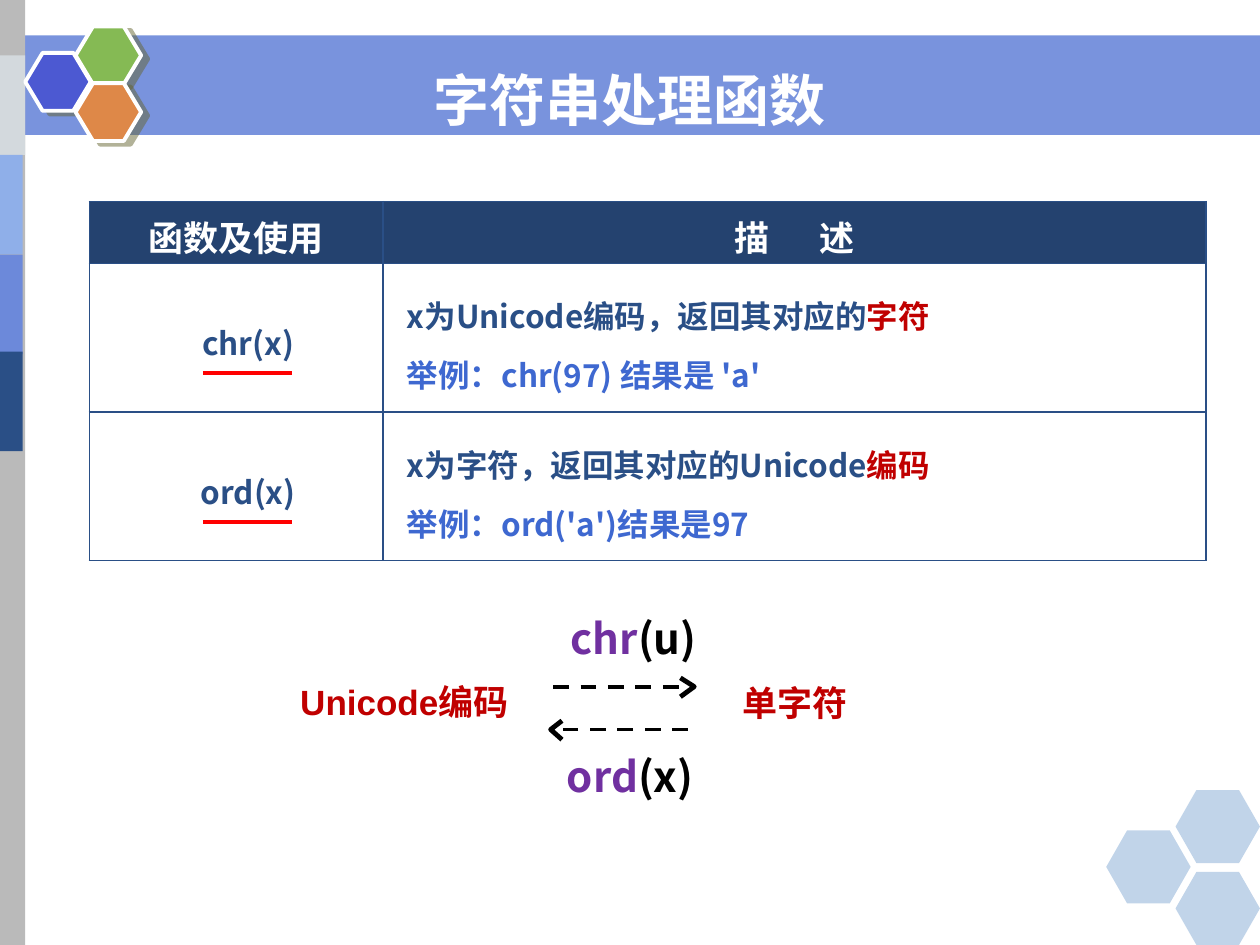
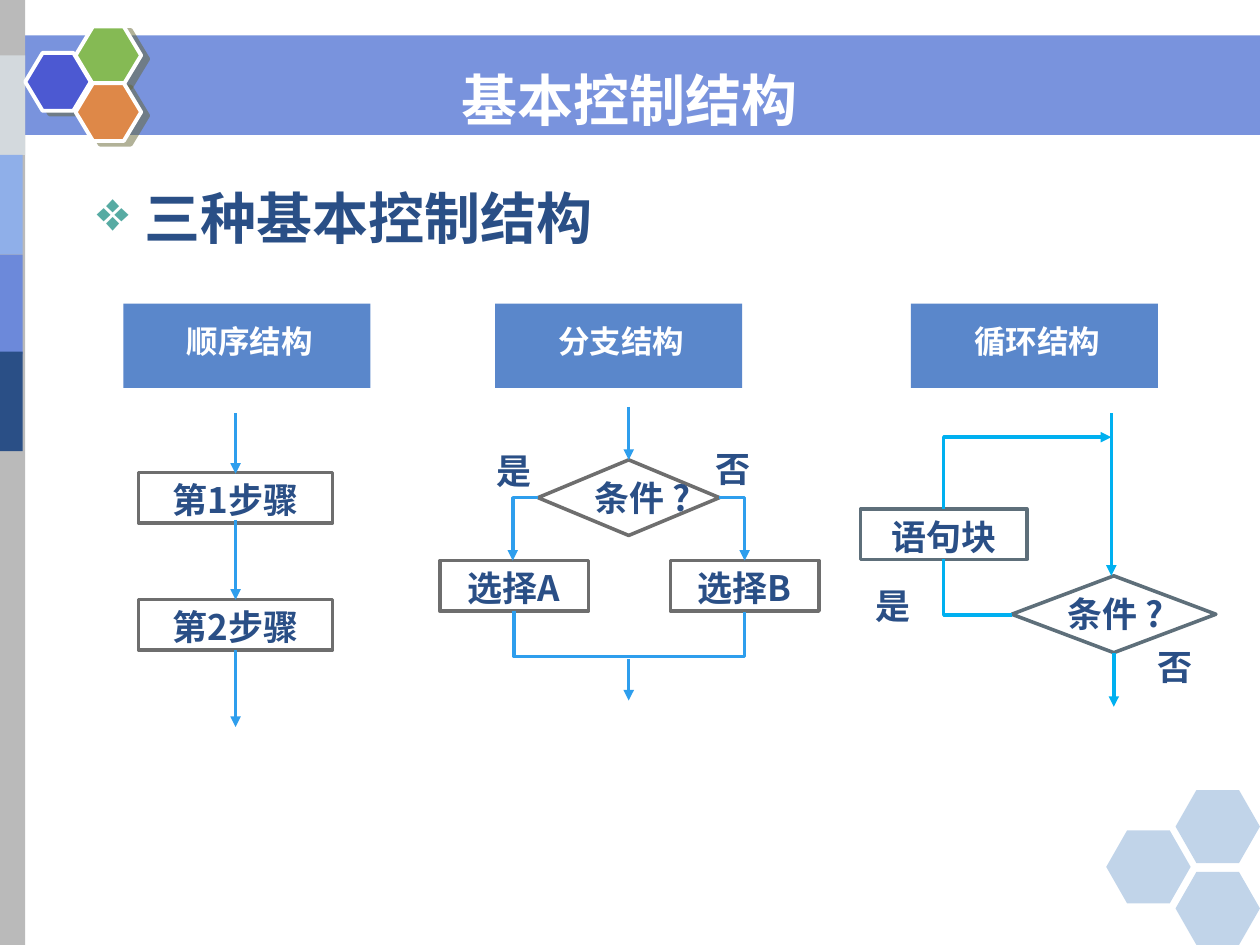
from lxml import etree
from pptx import Presentation
from pptx.dml.color import RGBColor
from pptx.enum.dml import MSO_LINE
from pptx.enum.shapes import MSO_CONNECTOR, MSO_SHAPE
from pptx.enum.text import MSO_ANCHOR, PP_ALIGN
from pptx.oxml.ns import qn
from pptx.util import Inches, Pt

RECTANGLE, HEXAGON, DIAMOND = MSO_SHAPE.RECTANGLE, MSO_SHAPE.HEXAGON, MSO_SHAPE.DIAMOND
STRAIGHT, DASH = MSO_CONNECTOR.STRAIGHT, MSO_LINE.DASH
LEFT, CENTER = PP_ALIGN.LEFT, PP_ALIGN.CENTER
TOP, MIDDLE = MSO_ANCHOR.TOP, MSO_ANCHOR.MIDDLE

SANS, TITLE_FONT, LABEL_FONT = "Noto Sans CJK SC", "DejaVu Sans", "Arial"
COLORS = {
    "white": "FFFFFF", "black": "000000", "navy": "2A4F86", "header": "24426F",
    "band": "6C89DA", "rail": "BABABA", "mist": "D3D9DD", "sky": "8FAFE9",
    "indigo": "4C59D2", "green": "85BA54", "orange": "DE8848", "shadow": "666633",
    "corner": "5086C2", "example": "3E68D0", "dark_red": "C00000", "red": "FF0000",
    "purple": "7030A0", "teal": "57ABA3", "heading": "5A87CB", "gray": "6E6E6E",
    "slate": "5E6F7A", "flow": "2E9EED", "loop": "00B0F0",
}
TIGHT = (0, 0.01, 0, 0)
BOX_INSETS = (0, 0.05, 0, 0)


def rgb(name):
    return RGBColor.from_string(COLORS[name])


def add_xml(parent, tag, **attributes):
    element = etree.SubElement(parent, qn(tag))
    for key, value in attributes.items():
        element.set(key, str(value))
    return element


def write_text(frame, paragraphs, size=20, color="navy", font=SANS, align=LEFT,
               before=0, indent=0, bullet=None):
    """Each paragraph is a string or a list of (text, color, letter spacing) runs."""
    for index, content in enumerate(paragraphs):
        paragraph = frame.add_paragraph() if index else frame.paragraphs[0]
        paragraph.alignment = align
        paragraph.space_before = Pt(before)
        properties = paragraph._p.get_or_add_pPr()
        properties.set("marL", str(Inches(indent)))
        properties.set("indent", str(Inches(-indent if bullet else 0)))
        if bullet:
            add_xml(add_xml(properties, "a:buClr"), "a:srgbClr", val=COLORS["teal"])
            add_xml(properties, "a:buChar", char=bullet)
        runs = [(content, color, 0)] if isinstance(content, str) else content
        for text, run_color, spacing in runs:
            run = paragraph.add_run()
            run.text = text
            run.font.size = Pt(size)
            run.font.bold = True
            run.font.color.rgb = rgb(run_color)
            run.font.name = font
            run_properties = run._r.get_or_add_rPr()
            add_xml(run_properties, "a:ea", typeface=SANS)
            if spacing:
                run_properties.set("spc", str(spacing * 100))


class Deck:
    def __init__(self):
        self.presentation = Presentation()
        self.presentation.slide_width = Inches(10)
        self.presentation.slide_height = Inches(7.5)
        self.slide = None

    def start_slide(self, title):
        self.slide = self.presentation.slides.add_slide(self.presentation.slide_layouts[6])
        self.shape(RECTANGLE, 0, 0.28, 10, 0.79, "band", alpha=91)
        self.shape(RECTANGLE, -0.01, 0, 0.21, 7.5, "rail")
        for left, top, color in ((0, 0.44, "mist"), (-0.02, 1.23, "sky"),
                                 (-0.02, 2.02, "band"), (-0.02, 2.79, "navy")):
            self.shape(RECTANGLE, left, top, 0.2, 0.79, color)
        for left, top, color in ((0.2, 0.42, "indigo"), (0.6, 0.21, "green"),
                                 (0.6, 0.66, "orange")):
            hexagon = self.shape(HEXAGON, left, top, 0.52, 0.46, color, line="white", width=2.25)
            hexagon.adjustments[0] = 0.3
            self.cast_shadow(hexagon)
        for left, top in ((8.78, 6.59), (9.33, 6.27), (9.33, 6.92)):
            hexagon = self.shape(HEXAGON, left, top, 0.67, 0.58, "corner", alpha=35)
            hexagon.adjustments[0] = 0.286
        self.text([title], 0, 0.47, 10, 0.64, anchor=MIDDLE, size=32,
                  color="white", font=TITLE_FONT, align=CENTER)

    def cast_shadow(self, shape):
        effects = shape.element.spPr.find(qn("a:effectLst"))
        shadow = add_xml(effects, "a:outerShdw", blurRad=0, dist=Pt(4.5),
                         dir=27 * 60000, algn="ctr", rotWithShape=0)
        color = add_xml(shadow, "a:srgbClr", val=COLORS["shadow"])
        add_xml(color, "a:alpha", val=50000)

    def shape(self, kind, left, top, width_in, height, fill=None, alpha=None,
              line=None, width=2.04):
        shape = self.slide.shapes.add_shape(
            kind, Inches(left), Inches(top), Inches(width_in), Inches(height))
        shape.shadow.inherit = False
        if fill:
            shape.fill.solid()
            shape.fill.fore_color.rgb = rgb(fill)
        else:
            shape.fill.background()
        if alpha:
            color = shape.element.spPr.find(qn("a:solidFill")).find(qn("a:srgbClr"))
            add_xml(color, "a:alpha", val=alpha * 1000)
        if line:
            self.stroke(shape, line, width)
        else:
            shape.line.fill.background()
        return shape

    def stroke(self, shape, color, width, dash=None, arrow=False):
        shape.line.color.rgb = rgb(color)
        shape.line.width = Pt(width)
        if dash:
            shape.line.dash_style = dash
        if arrow:
            add_xml(shape.element.spPr.find(qn("a:ln")), "a:tailEnd", type="triangle")

    def line(self, start, end, color, width=2, **style):
        connector = self.slide.shapes.add_connector(
            STRAIGHT, *(Inches(value) for value in (*start, *end)))
        self.stroke(connector, color, width, **style)
        add_xml(connector.element.spPr, "a:effectLst")

    def polyline(self, points, color, width=2, **style):
        corners = [(Inches(x), Inches(y)) for x, y in points]
        builder = self.slide.shapes.build_freeform(*corners[0])
        builder.add_line_segments(corners[1:], close=False)
        shape = builder.convert_to_shape()
        shape.shadow.inherit = False
        shape.fill.background()
        self.stroke(shape, color, width, **style)

    def fill_frame(self, frame, paragraphs, insets, anchor, **text_format):
        frame.word_wrap = True
        frame.vertical_anchor = anchor
        (frame.margin_left, frame.margin_top,
         frame.margin_right, frame.margin_bottom) = map(Inches, insets)
        write_text(frame, paragraphs, **text_format)

    def text(self, paragraphs, left, top, width, height, insets=(0.1, 0.05, 0.1, 0.05),
             anchor=TOP, **text_format):
        box = self.slide.shapes.add_textbox(
            Inches(left), Inches(top), Inches(width), Inches(height))
        self.fill_frame(box.text_frame, paragraphs, insets, anchor, **text_format)

    def label(self, content, left, top, width, height=0.35, before=1, **text_format):
        self.text([content], left, top, width, height, insets=TIGHT,
                  before=before, **text_format)

    def step(self, content, left, top, width, line="gray"):
        box = self.shape(RECTANGLE, left, top, width, 0.4, "white", line=line)
        self.fill_frame(box.text_frame, [content], BOX_INSETS, TOP, align=CENTER)

    def table(self, left, top, columns, rows):
        table = self.slide.shapes.add_table(
            len(rows), len(columns), Inches(left), Inches(top),
            Inches(sum(columns)), Inches(sum(rows))).table
        table.horz_banding = False
        for column, width in zip(table.columns, columns):
            column.width = Inches(width)
        for row, height in zip(table.rows, rows):
            row.height = Inches(height)
        return table

    def cell(self, cell, paragraphs, fill, top_inset, **text_format):
        cell.vertical_anchor = MIDDLE
        cell.margin_left = cell.margin_right = cell.margin_bottom = 0
        cell.margin_top = Inches(top_inset)
        properties = cell._tc.get_or_add_tcPr()
        for side in ("L", "R", "T", "B"):
            border = add_xml(properties, f"a:ln{side}", w=Pt(1))
            add_xml(add_xml(border, "a:solidFill"), "a:srgbClr", val=COLORS["navy"])
        cell.fill.solid()
        cell.fill.fore_color.rgb = rgb(fill)
        write_text(cell.text_frame, paragraphs, **text_format)


def build_string_functions(deck):
    deck.start_slide("字符串处理函数")
    table = deck.table(0.71, 1.6, (2.33, 6.53), (0.49, 1.18, 1.18))
    headers = ("函数及使用", [("描 ", "white", 12), ("述", "white", 0)])
    for column, header in enumerate(headers):
        deck.cell(table.cell(0, column), [header], "header", 0.06,
                  color="white", align=CENTER, before=4.7)
    functions = (
        ("chr(x)", "x为Unicode编码，返回其对应的", "字符", "举例：chr(97) 结果是 'a'"),
        ("ord(x)", "x为字符，返回其对应的Unicode", "编码", "举例：ord('a')结果是97"),
    )
    for row, (name, description, result, example) in enumerate(functions, 1):
        deck.cell(table.cell(row, 0), [name], "white", 0.07, size=18,
                  align=CENTER, before=4.8, indent=0.19)
        details = [[(description, "navy", 0), (result, "dark_red", 0)],
                   [(example, "example", 0)]]
        deck.cell(table.cell(row, 1), details, "white", 0.11, size=18,
                  before=7.7, indent=0.19)
        underline = 1.78 + 1.18 * row
        deck.line((1.61, underline), (2.32, underline), "red", 2.25)

    deck.label("Unicode编码", 2.24, 5.39, 1.94, color="dark_red", font=LABEL_FONT, align=CENTER)
    deck.label("单字符", 5.89, 5.4, 0.87, color="dark_red", font=LABEL_FONT)
    conversions = (
        ("chr", "(u)", 4.52, 4.85, 5.45, 4.39, 5.51, 5.4),
        ("ord", "(x)", 4.49, 5.95, 5.79, 5.46, 4.37, 4.46),
    )
    for name, argument, left, top, y, tail, tip, barb in conversions:
        deck.label([(name, "purple", 0), (argument, "black", 0)],
                   left, top, 1.5, 0.42, size=24, indent=0.01)
        deck.line((tail, y), (tip, y), "black", 2.25, dash=DASH)
        deck.polyline([(barb, y - 0.07), (tip, y), (barb, y + 0.08)], "black", 2.75)


def build_sequence(deck):
    for content, top in (("第1步骤", 3.75), ("第2步骤", 4.76)):
        deck.step(content, 1.1, top, 1.54)
    for start, end in ((3.28, 3.76), (4.13, 4.76), (5.16, 5.77)):
        deck.line((1.87, start), (1.87, end), "flow", arrow=True)


def build_branch(deck):
    deck.shape(DIAMOND, 4.27, 3.65, 1.44, 0.6, line="gray")
    deck.label("条件 ?", 4.71, 3.77, 0.85, indent=0.01)
    deck.label("是", 3.59, 3.56, 0.76, before=3.5, indent=0.35)
    deck.label("否", 5.68, 3.54, 0.74, before=3.5)
    deck.step("选择A", 3.49, 4.45, 1.18)
    deck.step("选择B", 5.32, 4.45, 1.18)
    for corner, side in ((4.27, 4.07), (5.71, 5.91)):
        deck.polyline([(corner, 3.95), (side, 3.95), (side, 4.45)], "flow", arrow=True)
    deck.polyline([(4.08, 4.85), (4.08, 5.21), (5.91, 5.21), (5.91, 4.86)], "flow")
    for start, end in ((3.23, 3.65), (5.23, 5.56)):
        deck.line((4.99, start), (4.99, end), "flow", arrow=True)


def build_loop(deck):
    deck.shape(DIAMOND, 8.03, 4.57, 1.62, 0.61, line="slate")
    deck.label("条件 ?", 8.14, 4.69, 1.2, before=3.7, indent=0.33)
    deck.label("是", 6.94, 4.63, 0.3, indent=0.01)
    deck.label("否", 9.18, 5.11, 0.3, indent=0.01)
    deck.step("语句块", 6.83, 4.04, 1.32, line="slate")
    deck.line((8.82, 3.28), (8.82, 4.57), "loop", arrow=True)
    deck.polyline([(7.49, 4.04), (7.49, 3.47), (8.82, 3.47)], "loop", arrow=True)
    deck.polyline([(7.49, 4.44), (7.49, 4.88), (8.03, 4.88)], "loop")
    deck.line((8.84, 5.18), (8.84, 5.61), "loop", arrow=True)


def build_control_structures(deck):
    deck.start_slide("基本控制结构")
    deck.text(["三种基本控制结构"], 0.67, 1.41, 5.13, 0.64, size=32,
              before=6.4, indent=0.38, bullet="❖")
    build_branch(deck)
    build_loop(deck)
    build_sequence(deck)
    for heading, left in (("顺序结构", 0.98), ("分支结构", 3.93), ("循环结构", 7.23)):
        deck.shape(RECTANGLE, left, 2.41, 1.96, 0.67, "heading")
        deck.text([heading], left - 0.11, 2.51, 2.22, 0.4, size=18,
                  color="white", align=CENTER)


def main():
    deck = Deck()
    build_string_functions(deck)
    build_control_structures(deck)
    deck.presentation.save("out.pptx")


if __name__ == "__main__":
    main()
